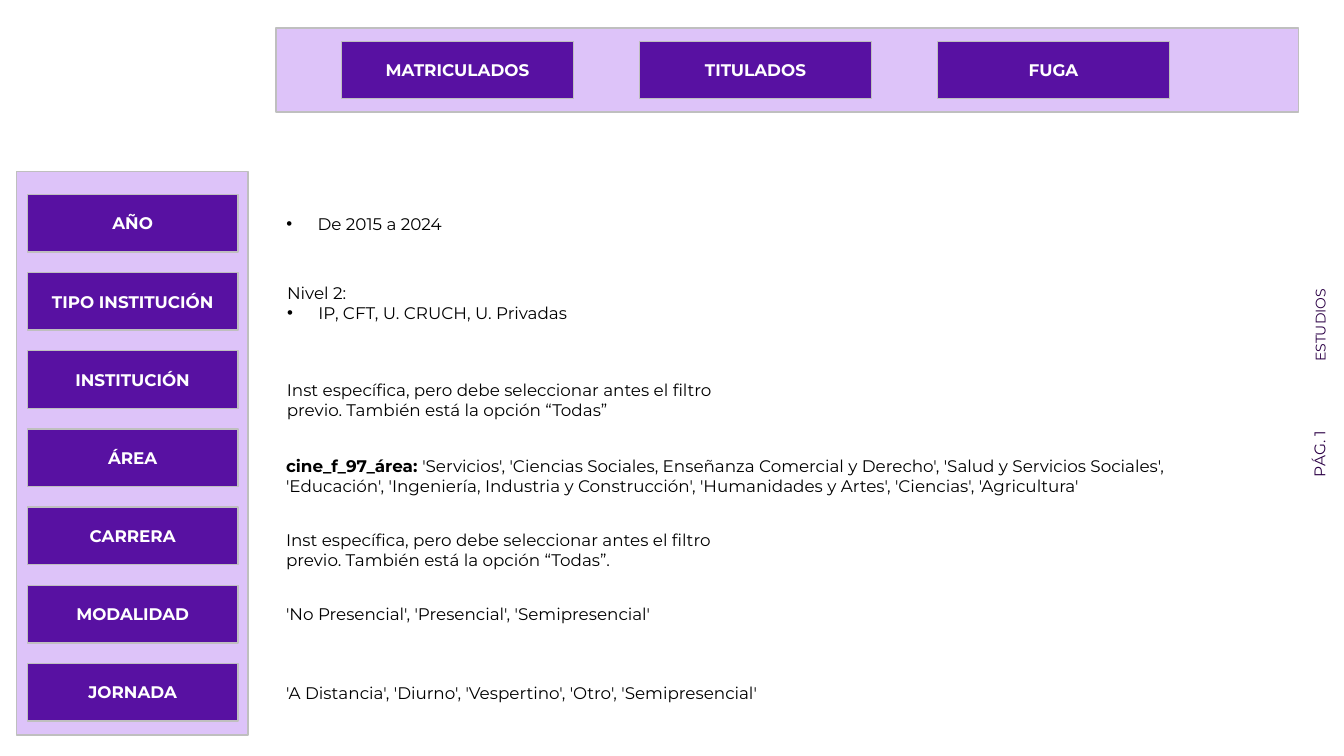
from lxml import etree
from pptx import Presentation
from pptx import util as u
from pptx.dml.color import RGBColor
from pptx.enum import shapes, text
from pptx.oxml import ns

PURPLE = RGBColor(0x58, 0x11, 0xA2)
LILAC = RGBColor(0xDD, 0xC3, 0xF9)
GREY = RGBColor(0xBF, 0xBF, 0xBF)
DARK = RGBColor(0x2C, 0x00, 0x46)
BLACK = RGBColor(0, 0, 0)
WHITE = RGBColor(0xFF, 0xFF, 0xFF)

TABS = ["MATRICULADOS", "TITULADOS", "FUGA"]
FILTERS = ["AÑO", "TIPO INSTITUCIÓN", "INSTITUCIÓN", "ÁREA", "CARRERA",
           "MODALIDAD", "JORNADA"]

# Left, top, width, height in cm; lines starting with a bullet are list items
LISTS = [
    ((6.96, 5.26, 8.61, 0.76), ["• De 2015 a 2024"]),
    ((6.98, 6.99, 9.14, 1.27), ["Nivel 2:", "• IP, CFT, U. CRUCH, U. Privadas"]),
]

# Left, top, width, height in cm; bold lead; text
NOTES = [
    ((6.98, 9.45, 11.96, 1.27), "",
     "Inst específica, pero debe seleccionar antes el filtro previo. "
     "También está la opción “Todas”"),
    ((6.96, 11.35, 24.74, 1.27), "cine_f_97_área: ",
     "'Servicios', 'Ciencias Sociales, Enseñanza Comercial y Derecho', "
     "'Salud y Servicios Sociales', 'Educación', 'Ingeniería, Industria y "
     "Construcción', 'Humanidades y Artes', 'Ciencias', 'Agricultura'"),
    ((6.96, 13.23, 11.76, 1.27), "",
     "Inst específica, pero debe seleccionar antes el filtro previo. "
     "También está la opción “Todas”."),
    ((6.96, 15.09, 11.76, 0.76), "",
     "'No Presencial', 'Presencial', 'Semipresencial'"),
    ((6.96, 17.09, 15.37, 0.76), "",
     "'A Distancia', 'Diurno', 'Vespertino', 'Otro', 'Semipresencial'"),
]


class SlideBuilder:
    font_name = "Montserrat"

    def __init__(self, slide):
        self.slide = slide

    def format_run(self, run, color=BLACK, size=12, bold=False):
        run.font.name = self.font_name
        run.font.size = u.Pt(size)
        run.font.bold = bold
        run.font.color.rgb = color

    def rectangle(self, box, fill, label=""):
        shape = self.slide.shapes.add_shape(
            shapes.MSO_SHAPE.RECTANGLE, *map(u.Cm, box))
        shape.shadow.inherit = False
        shape.fill.solid()
        shape.fill.fore_color.rgb = fill
        shape.line.color.rgb = GREY
        shape.line.width = u.Pt(1)
        if label:
            frame = shape.text_frame
            frame.text = label
            frame.vertical_anchor = text.MSO_ANCHOR.MIDDLE
            paragraph = frame.paragraphs[0]
            paragraph.alignment = text.PP_ALIGN.CENTER
            self.format_run(paragraph.runs[0], WHITE, bold=True)

    def note(self, box, lead, content):
        shape = self.slide.shapes.add_textbox(*map(u.Cm, box))
        shape.text_frame.word_wrap = True
        paragraph = shape.text_frame.paragraphs[0]
        if lead:
            paragraph.text = lead
            self.format_run(paragraph.runs[0], bold=True)
        run = paragraph.add_run()
        run.text = content
        self.format_run(run)

    def side_label(self, box, content, size, alignment):
        shape = self.slide.shapes.add_textbox(*map(u.Cm, box))
        shape.rotation = 270
        shape.text_frame.word_wrap = True
        shape.text_frame.text = content
        paragraph = shape.text_frame.paragraphs[0]
        paragraph.alignment = alignment
        self.format_run(paragraph.runs[0], DARK, size)

    def bullet_list(self, placeholder, box, lines):
        (placeholder.left, placeholder.top,
         placeholder.width, placeholder.height) = map(u.Cm, box)
        frame = placeholder.text_frame
        frame.text = "\n".join(line.removeprefix("• ") for line in lines)
        frame.auto_size = text.MSO_AUTO_SIZE.NONE
        for paragraph, line in zip(frame.paragraphs, lines):
            paragraph.space_before = u.Pt(0)
            self.format_run(paragraph.runs[0])
            self.set_bullet(paragraph, line.startswith("•"))

    def set_bullet(self, paragraph, bulleted):
        properties = paragraph._p.get_or_add_pPr()
        indent = u.Cm(0.79) if bulleted else 0
        properties.set("marL", str(indent))
        properties.set("indent", str(-indent))
        if bulleted:
            etree.SubElement(properties, ns.qn("a:buFont"), typeface="Arial")
            etree.SubElement(properties, ns.qn("a:buChar"), char="•")
        else:
            etree.SubElement(properties, ns.qn("a:buNone"))


def main():
    presentation = Presentation()
    presentation.slide_width = u.Cm(33.87)
    presentation.slide_height = u.Cm(19.05)
    slide = presentation.slides.add_slide(presentation.slide_layouts[3])
    builder = SlideBuilder(slide)

    # The slide has no title
    title = slide.shapes.title
    title.element.getparent().remove(title.element)

    # Side labels
    builder.side_label((32.08, 7.82, 2.39, 0.69), "ESTUDIOS", 10,
                       text.PP_ALIGN.LEFT)
    builder.side_label((32.03, 11.07, 2.46, 0.74), "PÁG. 1", 11,
                       text.PP_ALIGN.CENTER)

    # Panels
    builder.rectangle((0.41, 4.32, 5.84, 14.2), LILAC)
    builder.rectangle((6.96, 0.71, 25.76, 2.11), LILAC)

    # Tabs across the top and filters down the left
    for column, label in enumerate(TABS):
        builder.rectangle((8.61 + 7.51 * column, 1.04, 5.84, 1.45),
                          PURPLE, label)
    for row, label in enumerate(FILTERS):
        builder.rectangle((0.69, 4.9 + 1.97 * row, 5.31, 1.45),
                          PURPLE, label)

    # Filter descriptions
    for index, (box, lines) in enumerate(LISTS, start=1):
        builder.bullet_list(slide.placeholders[index], box, lines)
    for box, lead, content in NOTES:
        builder.note(box, lead, content)

    presentation.save("out.pptx")


if __name__ == "__main__":
    main()
